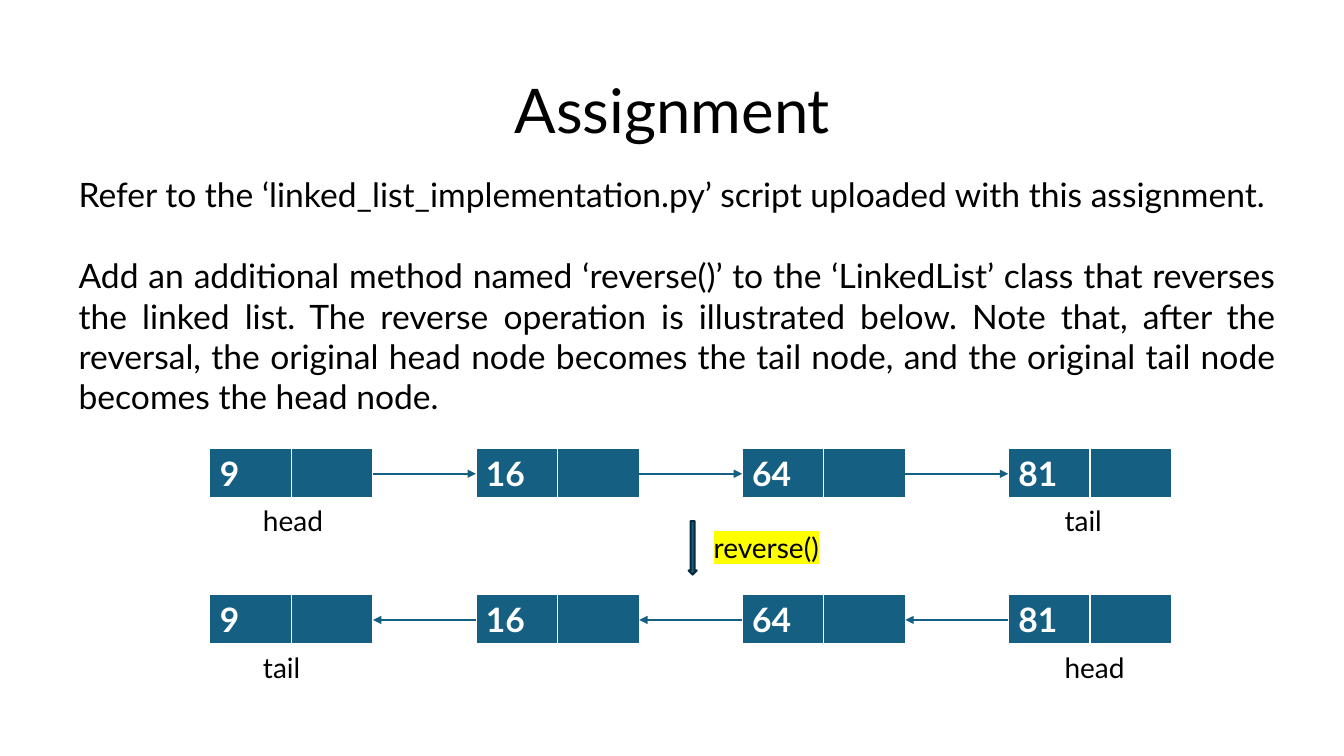
import pptx
import pptx.dml.color
import pptx.enum.dml
import pptx.enum.shapes
import pptx.enum.text
import pptx.oxml
import pptx.oxml.ns
import pptx.util

EMU_PER_PX = 9144
FONT = "Lato"
BLACK, WHITE, BLUE, NAVY, YELLOW = "000000", "FFFFFF", "156082", "092A39", "FFFF00"
ALIGN = pptx.enum.text.PP_ALIGN
ANCHOR = pptx.enum.text.MSO_ANCHOR
VALUES = ["9", "16", "64", "81"]
NODE_LEFT, NODE_PITCH, CELL_WIDTH, NODE_HEIGHT = 208, 264, 81, 50
LABEL_LEFTS = [251, 1046]
LABEL_WIDTHS = {"head": 81, "tail": 58}
INTRODUCTION = "Refer to the ‘linked_list_implementation.py’ script uploaded with this assignment."
TASK = (
    "Add an additional method named ‘reverse()’ to the ‘LinkedList’ class that reverses "
    "the linked list. The reverse operation is illustrated below. Note that, after the "
    "reversal, the original head node becomes the tail node, and the original tail node "
    "becomes the head node."
)


def px(length):
    return pptx.util.Emu(length * EMU_PER_PX)


def color(value):
    return pptx.dml.color.RGBColor.from_string(value)


def xml(tag, content=""):
    namespace = pptx.oxml.ns.nsdecls("a")
    name = tag.split()[0]
    return pptx.oxml.parse_xml(f"<a:{tag} {namespace}>{content}</a:{name}>")


def apply_format(target, values):
    for name, value in values.items():
        setattr(target, name, value)


def place(shape, left, top, width, height):
    box = {"left": left, "top": top, "width": width, "height": height}
    apply_format(shape, {name: px(length) for name, length in box.items()})


def write(paragraph, text, size, text_color=BLACK, bold=False):
    run = paragraph.add_run()
    run.text = text
    apply_format(run.font, {"name": FONT, "size": pptx.util.Pt(size), "bold": bold})
    run.font.color.rgb = color(text_color)
    return run


def fill_title(title, text):
    place(title, 92, 40, 1150, 145)
    title.text_frame.vertical_anchor = ANCHOR.MIDDLE
    paragraph = title.text_frame.paragraphs[0]
    apply_format(paragraph, {"alignment": ALIGN.CENTER, "line_spacing": 0.9})
    write(paragraph, text, 44)


def fill_body(body, texts):
    place(body, 68, 168, 1207, 293)
    frame = body.text_frame
    apply_format(frame, {
        "word_wrap": True,
        "vertical_anchor": ANCHOR.TOP,
        "auto_size": pptx.enum.text.MSO_AUTO_SIZE.NONE,
    })
    for index, text in enumerate(texts):
        paragraph = frame.add_paragraph() if index else frame.paragraphs[0]
        apply_format(paragraph, {
            "alignment": ALIGN.JUSTIFY,
            "line_spacing": 1.0,
            "space_before": pptx.util.Pt(29 if index else 0),
            "space_after": pptx.util.Pt(0),
        })
        properties = paragraph._p.get_or_add_pPr()
        properties.set("marL", "0")
        properties.set("indent", "0")
        properties.append(xml("buNone"))
        write(paragraph, text, 24)


def add_label(slide, text, left, top, width, highlight=None):
    label = slide.shapes.add_textbox(px(left), px(top), px(width), px(44))
    label.text_frame.word_wrap = False
    run = write(label.text_frame.paragraphs[0], text, 20)
    if highlight:
        solid_fill = run.font._element.find(pptx.oxml.ns.qn("a:solidFill"))
        solid_fill.addnext(xml("highlight", f'<a:srgbClr val="{highlight}"/>'))


def format_cell(cell):
    properties = cell._tc.get_or_add_tcPr()
    for side, width in {"L": 1, "R": 1, "T": 1, "B": 3}.items():
        properties.append(xml(
            f'ln{side} w="{pptx.util.Pt(width)}"',
            f'<a:solidFill><a:srgbClr val="{WHITE}"/></a:solidFill>',
        ))
    cell.fill.solid()
    cell.fill.fore_color.rgb = color(BLUE)


def add_node(slide, value, left, top):
    frame = slide.shapes.add_table(
        1, 2, px(left), px(top), px(2 * CELL_WIDTH), px(NODE_HEIGHT)
    )
    for cell in frame.table.iter_cells():
        format_cell(cell)
    write(frame.table.cell(0, 0).text_frame.paragraphs[0], value, 24, WHITE, True)


def add_link(slide, start, end, y):
    link = slide.shapes.add_connector(
        pptx.enum.shapes.MSO_CONNECTOR.STRAIGHT, px(start), px(y), px(end), px(y)
    )
    link.line.color.rgb = color(BLUE)
    link.line.width = pptx.util.Pt(1.5)
    link.line._get_or_add_ln().append(xml('tailEnd type="triangle"'))
    link._element.spPr.append(xml("effectLst"))


def add_linked_list(slide, top, labels, is_reversed):
    lefts = [NODE_LEFT + NODE_PITCH * index for index in range(len(VALUES))]
    for value, left in zip(VALUES, lefts):
        add_node(slide, value, left, top)
    for left, next_left in zip(lefts, lefts[1:]):
        ends = [left + 2 * CELL_WIDTH, next_left]
        if is_reversed:
            ends.reverse()
        add_link(slide, *ends, top + NODE_HEIGHT // 2)
    for label, left in zip(labels, LABEL_LEFTS):
        add_label(slide, label, left, top + NODE_HEIGHT, LABEL_WIDTHS[label])


def add_down_arrow(slide, left, top, width, height):
    arrow = slide.shapes.add_shape(
        pptx.enum.shapes.MSO_SHAPE.DOWN_ARROW,
        px(left), px(top), px(width), px(height),
    )
    arrow.shadow.inherit = False
    arrow.fill.solid()
    arrow.fill.fore_color.rgb = color(BLUE)
    arrow.line.color.rgb = color(NAVY)
    arrow.line.width = pptx.util.Pt(1.5)


def main():
    presentation = pptx.Presentation()
    apply_format(presentation, {"slide_width": px(1333), "slide_height": px(750)})
    slide = presentation.slides.add_slide(presentation.slide_layouts[1])
    fill_title(slide.shapes.title, "Assignment")
    fill_body(slide.placeholders[1], [INTRODUCTION, TASK])
    add_linked_list(slide, 445, ["head", "tail"], False)
    add_linked_list(slide, 590, ["tail", "head"], True)
    add_down_arrow(slide, 683, 517, 8, 53)
    add_label(slide, "reverse()", 698, 521, 125, YELLOW)
    presentation.save("out.pptx")


if __name__ == "__main__":
    main()
